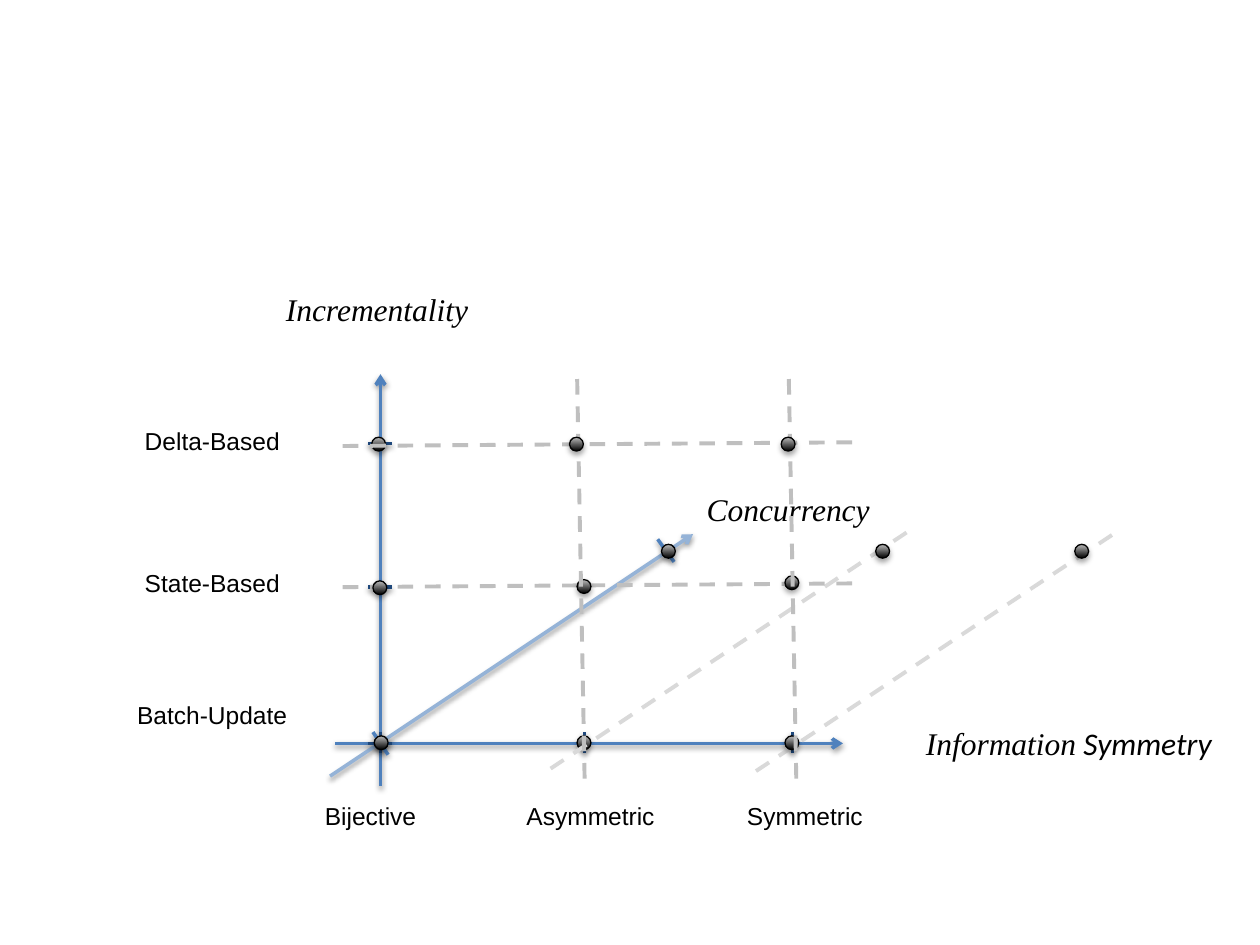
"""Build a slide with three axes: incrementality, information symmetry and concurrency."""
from lxml import etree
from pptx import Presentation
from pptx.dml.color import RGBColor
from pptx.enum.dml import MSO_LINE
from pptx.enum.shapes import MSO_CONNECTOR, MSO_SHAPE
from pptx.enum.text import MSO_AUTO_SIZE
from pptx.oxml import parse_xml
from pptx.oxml.ns import nsdecls, qn
from pptx.util import Inches, Pt

COLORS = {
    "axis": "4F81BD", "depth_axis": "95B3D7", "tick": "1F497D",
    "guide": "BFBFBF", "depth_guide": "D9D9D9",
    "black": "000000", "dot_light": "BDBDBD",
}
DOT_SIZE = 0.11

presentation = Presentation()
presentation.slide_width = Inches(10)
presentation.slide_height = Inches(7.5)
slide = presentation.slides.add_slide(presentation.slide_layouts[6])


def set_shadow(shape, opacity=0, distance=0):
    """Give the shape a soft shadow below it, or none when opacity is zero."""
    shadow = ""
    if opacity:
        shadow = (
            f'<a:outerShdw blurRad="{Pt(3.1)}" dist="{Pt(distance)}" dir="5400000" '
            f'rotWithShape="0"><a:srgbClr val="{COLORS["black"]}">'
            f'<a:alpha val="{opacity * 1000}"/></a:srgbClr></a:outerShdw>'
        )
    effects = parse_xml(f'<a:effectLst {nsdecls("a")}>{shadow}</a:effectLst>')
    shape._element.spPr.append(effects)


def add_line(start, end, color, width=2, dashed=False, arrow=False):
    """Draw a straight line between two points given in inches."""
    points = [Inches(value) for value in (*start, *end)]
    line = slide.shapes.add_connector(MSO_CONNECTOR.STRAIGHT, *points)
    line.line.color.rgb = RGBColor.from_string(COLORS[color])
    line.line.width = Pt(width)
    if dashed:
        line.line.dash_style = MSO_LINE.DASH
        set_shadow(line)
    else:
        set_shadow(line, 38, 1.6)
    if arrow:
        etree.SubElement(line.line._get_or_add_ln(), qn("a:tailEnd"), type="arrow")


axes = [
    ((2.66, 5.9), (6.69, 5.9), "axis"),
    ((3.02, 6.24), (3.02, 2.97), "axis"),
    ((2.62, 6.16), (5.5, 4.24), "depth_axis"),
]
for start, end, color in axes:
    add_line(start, end, color, arrow=True)

title_format = {"name": "Times New Roman", "size": Pt(18), "italic": True}
title_end_format = {**title_format, "name": "Calibri"}
label_format = {"name": "Arial", "size": Pt(14)}
labels = [
    (2.17, 2.25, 1.75, 0.4, [("Incrementality", title_format)]),
    (7.25, 5.7, 2.56, 0.4,
     [("Information", title_format), (" Symmetry", title_end_format)]),
    (5.51, 3.84, 1.6, 0.4, [("Concurrency", title_format)]),
    (5.83, 6.31, 1.13, 0.34, [("Symmetric", label_format)]),
    (4.08, 6.31, 1.23, 0.34, [("Asymmetric", label_format)]),
    (2.48, 6.31, 0.93, 0.34, [("Bijective", label_format)]),
    (0.99, 5.51, 1.4, 0.34, [("Batch-Update", label_format)]),
    (1.05, 4.46, 1.28, 0.34, [("State-Based", label_format)]),
    (1.05, 3.33, 1.28, 0.34, [("Delta-Based", label_format)]),
]
for *box, runs in labels:
    textbox = slide.shapes.add_textbox(*[Inches(value) for value in box])
    frame = textbox.text_frame
    frame.word_wrap = False
    frame.auto_size = MSO_AUTO_SIZE.SHAPE_TO_FIT_TEXT
    for text, font_format in runs:
        run = frame.paragraphs[0].add_run()
        run.text = text
        run.font.color.rgb = RGBColor.from_string(COLORS["black"])
        for attribute, value in font_format.items():
            setattr(run.font, attribute, value)

for x in (4.64, 6.29, 3.02):
    add_line((x, 5.81), (x, 5.98), "tick")
for y in (4.66, 3.52, 5.9):
    add_line((3.11, y), (2.92, y), "tick")
add_line((3.08, 5.99), (2.96, 5.81), "axis")
add_line((5.35, 4.46), (5.22, 4.28), "axis")

layers = [
    ([], [(4.58, 5.84), (2.97, 5.84)]),
    ([((6, 6.12), (8.88, 4.21), "depth_guide"),
      ((4.37, 6.1), (7.25, 4.19), "depth_guide")],
     [(6.23, 5.84), (5.25, 4.32), (6.95, 4.32), (8.53, 4.32)]),
    ([((2.72, 4.66), (6.82, 4.63), "guide")],
     [(2.96, 4.61), (2.95, 3.47), (4.58, 4.6), (6.23, 4.57)]),
    ([((2.72, 3.54), (6.82, 3.51), "guide"),
      ((4.64, 6.18), (4.58, 2.97), "guide"),
      ((6.32, 6.18), (6.26, 2.97), "guide")],
     [(4.52, 3.47), (6.2, 3.47)]),
]
for guides, dots in layers:
    for start, end, color in guides:
        add_line(start, end, color, width=2.25, dashed=True)
    for left, top in dots:
        dot = slide.shapes.add_shape(
            MSO_SHAPE.OVAL, Inches(left), Inches(top),
            Inches(DOT_SIZE), Inches(DOT_SIZE))
        dot.fill.gradient()
        dot.fill.gradient_angle = 90
        for stop, position, color in zip(
                dot.fill.gradient_stops, (0, 1), ("black", "dot_light")):
            stop.position = position
            stop.color.rgb = RGBColor.from_string(COLORS[color])
        dot.line.color.rgb = RGBColor.from_string(COLORS["black"])
        dot.line.width = Pt(0.75)
        set_shadow(dot, 35, 1.8)

presentation.save("out.pptx")
